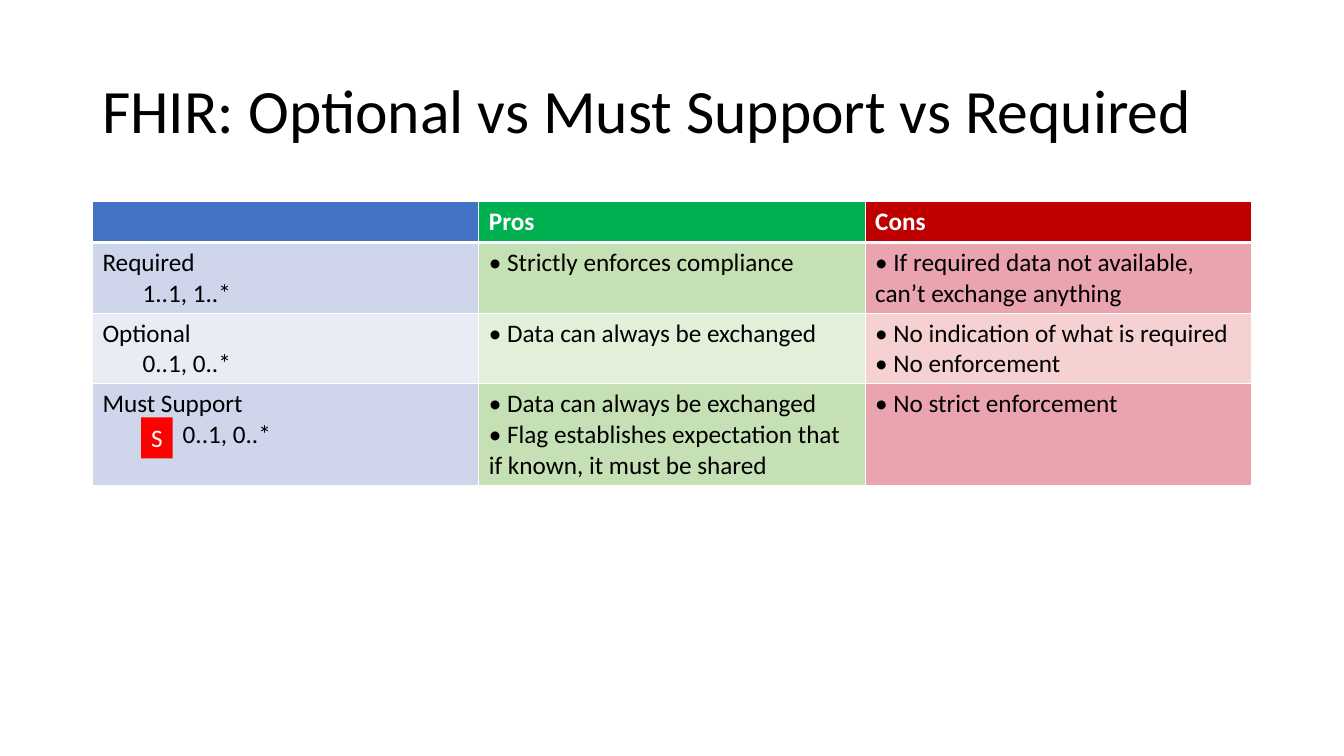
from dataclasses import dataclass

from lxml import etree
from pptx import Presentation
from pptx.dml.color import RGBColor
from pptx.enum.shapes import MSO_SHAPE
from pptx.enum.text import MSO_ANCHOR, PP_ALIGN
from pptx.oxml.ns import qn
from pptx.util import Cm, Pt

RECTANGLE = MSO_SHAPE.RECTANGLE
MIDDLE = MSO_ANCHOR.MIDDLE
LEFT, CENTER = PP_ALIGN.LEFT, PP_ALIGN.CENTER


@dataclass(frozen=True)
class Theme:
    font: str = "Calibri"
    title_size: int = 44
    body_size: int = 18
    black: str = "000000"
    white: str = "FFFFFF"
    flag: str = "FF0000"
    header_fills: tuple = ("4472C4", "00B050", "C00000")
    dark_fills: tuple = ("CFD5EA", "C5E0B4", "EAA4B0")
    light_fills: tuple = ("E9EBF5", "E2F0D9", "F5D1D1")
    grid_width: int = 1
    header_rule_width: int = 3


HEADER = ("", "Pros", "Cons")
ROWS = [
    ("Required", "1..1, 1..*", 1,
     ["• Strictly enforces compliance"],
     ["• If required data not available, can’t exchange anything"]),
    ("Optional", "0..1, 0..*", 1,
     ["• Data can always be exchanged"],
     ["• No indication of what is required", "• No enforcement"]),
    ("Must Support", "0..1, 0..*", 2,
     ["• Data can always be exchanged",
      "• Flag establishes expectation that if known, it must be shared"],
     ["• No strict enforcement"]),
]
ROW_HEIGHTS = (1.03, 1.78, 1.78, 2.56)
INDENT = 1.01


def write_text(frame, lines, *, font, size, color, bold=False, align=LEFT,
               line_spacing=1.0, indents=()):
    for index, line in enumerate(lines):
        paragraph = frame.paragraphs[0] if index == 0 else frame.add_paragraph()
        paragraph.alignment = align
        paragraph.line_spacing = line_spacing
        if index < len(indents):
            properties = paragraph._p.get_or_add_pPr()
            properties.set("marL", str(Cm(indents[index])))
            properties.set("indent", "0")
        paragraph.font.size = Pt(size)
        if line:
            run = paragraph.add_run()
            run.text = line
            run.font.name = font
            run.font.size = Pt(size)
            run.font.bold = bold
            run.font.color.rgb = RGBColor.from_string(color)


class SlideBuilder:
    def __init__(self, slide, theme):
        self.slide = slide
        self.theme = theme

    def title(self, text, left, top, width, height):
        box = self.slide.shapes.add_textbox(Cm(left), Cm(top), Cm(width), Cm(height))
        box.text_frame.word_wrap = True
        box.text_frame.vertical_anchor = MIDDLE
        write_text(box.text_frame, [text], font=self.theme.font,
                   size=self.theme.title_size, color=self.theme.black, line_spacing=0.9)

    def border(self, cell, side, width):
        line = etree.Element(qn(f"a:ln{side}"), w=str(Pt(width)))
        fill = etree.SubElement(line, qn("a:solidFill"))
        etree.SubElement(fill, qn("a:srgbClr"), val=self.theme.white)
        return line

    def cell(self, cell, lines, fill, color, bold=False, indents=(), top=1, bottom=1):
        cell.fill.solid()
        cell.fill.fore_color.rgb = RGBColor.from_string(fill)
        grid = self.theme.grid_width
        widths = {"L": grid, "R": grid, "T": top, "B": bottom}
        properties = cell._tc.get_or_add_tcPr()
        for position, (side, width) in enumerate(widths.items()):
            properties.insert(position, self.border(cell, side, width))
        write_text(cell.text_frame, lines, font=self.theme.font,
                   size=self.theme.body_size, color=color, bold=bold, indents=indents)

    def comparison_table(self, left, top, width):
        theme = self.theme
        frame = self.slide.shapes.add_table(
            len(ROWS) + 1, len(HEADER), Cm(left), Cm(top), Cm(width), Cm(sum(ROW_HEIGHTS)))
        table = frame.table
        table.horz_banding = False
        for row, height in zip(table.rows, ROW_HEIGHTS):
            row.height = Cm(height)
        for column, (text, fill) in enumerate(zip(HEADER, theme.header_fills)):
            self.cell(table.cell(0, column), [text], fill, theme.white, bold=True,
                      bottom=theme.header_rule_width)
        for row, (name, cardinality, level, pros, cons) in enumerate(ROWS, start=1):
            fills = theme.dark_fills if row % 2 else theme.light_fills
            top_width = theme.header_rule_width if row == 1 else theme.grid_width
            for column, lines in enumerate(([name, cardinality], pros, cons)):
                indents = (0, level * INDENT) if column == 0 else ()
                self.cell(table.cell(row, column), lines, fills[column], theme.black,
                          indents=indents, top=top_width)

    def flag(self, text, left, top, width, height):
        shape = self.slide.shapes.add_shape(
            RECTANGLE, Cm(left), Cm(top), Cm(width), Cm(height))
        shape.shadow.inherit = False
        shape.fill.solid()
        shape.fill.fore_color.rgb = RGBColor.from_string(self.theme.flag)
        shape.line.fill.background()
        shape.text_frame.word_wrap = False
        shape.text_frame.vertical_anchor = MIDDLE
        write_text(shape.text_frame, [text], font=self.theme.font,
                   size=self.theme.body_size, color=self.theme.white, align=CENTER)


def main():
    presentation = Presentation()
    presentation.slide_width = Cm(33.87)
    presentation.slide_height = Cm(19.05)
    slide = presentation.slides.add_slide(presentation.slide_layouts[6])
    builder = SlideBuilder(slide, Theme())
    builder.title("FHIR: Optional vs Must Support vs Required", 2.33, 1.01, 29.21, 3.68)
    builder.comparison_table(2.33, 5.08, 29.21)
    builder.flag("S", 3.56, 10.52, 0.79, 1.03)
    presentation.save("out.pptx")


if __name__ == "__main__":
    main()
